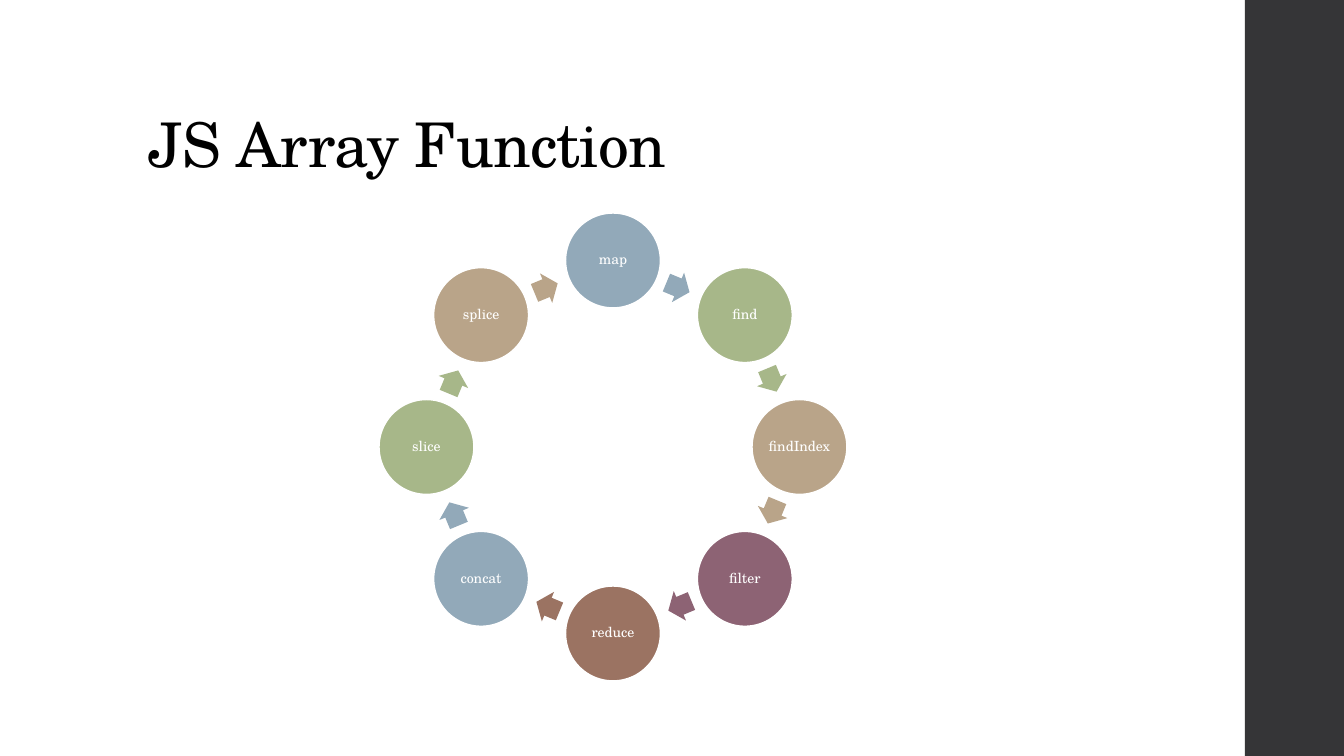
import math
from pptx import Presentation
from pptx.dml.color import RGBColor
from pptx.enum.shapes import MSO_SHAPE
from pptx.enum.text import MSO_ANCHOR, PP_ALIGN
from pptx.util import Pt

RECT, OVAL, ARROW = MSO_SHAPE.RECTANGLE, MSO_SHAPE.OVAL, MSO_SHAPE.RIGHT_ARROW
MIDDLE, BOTTOM, CENTER = MSO_ANCHOR.MIDDLE, MSO_ANCHOR.BOTTOM, PP_ALIGN.CENTER
SCALE = 914400 / 100.8
FONT = "TeX Gyre Schola"
BLACK = RGBColor(0x00, 0x00, 0x00)
WHITE = RGBColor(0xFF, 0xFF, 0xFF)
CHARCOAL = RGBColor(0x35, 0x35, 0x37)
BLUE = RGBColor(0x92, 0xA9, 0xB9)
GREEN = RGBColor(0xA7, 0xB7, 0x89)
TAN = RGBColor(0xB9, 0xA4, 0x89)
PLUM = RGBColor(0x8D, 0x63, 0x74)
BROWN = RGBColor(0x9B, 0x73, 0x62)
FUNCTIONS = [("map", BLUE), ("find", GREEN), ("findIndex", TAN), ("filter", PLUM),
             ("reduce", BROWN), ("concat", BLUE), ("slice", GREEN), ("splice", TAN)]


def px(n):
    return round(n * SCALE)


def add_shape(s, kind, x, y, w, h, color):
    sp = s.shapes.add_shape(kind, px(x), px(y), px(w), px(h))
    sp.shadow.inherit = False
    sp.fill.solid()
    sp.fill.fore_color.rgb = color
    sp.line.fill.background()
    return sp


def write(tf, text, size, color, anchor):
    tf.text = text
    tf.vertical_anchor = anchor
    p = tf.paragraphs[0]
    p.line_spacing = 0.9
    r = p.runs[0]
    r.font.name, r.font.size, r.font.color.rgb = FONT, Pt(size), color
    return p


def add_side_band(s, x, y, w, h):
    add_shape(s, RECT, x, y, w, h, CHARCOAL)


def add_title(s, x, y, w, h):
    tf = s.shapes.add_textbox(px(x), px(y), px(w), px(h)).text_frame
    tf.word_wrap = True
    p = write(tf, "JS Array Function", 44, BLACK, BOTTOM)
    p.runs[0].font._element.set("spc", "-50")


def add_circle(s, cx, cy, size, name, color):
    sp = add_shape(s, OVAL, cx - size / 2, cy - size / 2, size, size, color)
    sp.line.color.rgb = WHITE
    sp.line.width = Pt(1.1)
    tf = sp.text_frame
    tf.margin_left = tf.margin_right = tf.margin_top = tf.margin_bottom = px(1)
    tf.word_wrap = True
    write(tf, name, 10, WHITE, MIDDLE).alignment = CENTER


def add_arrow(s, cx, cy, w, h, angle, color):
    sp = add_shape(s, ARROW, cx - w / 2, cy - h / 2, w, h, color)
    sp.adjustments[0], sp.adjustments[1] = 0.6, 0.5
    sp.rotation = angle


def add_cycle(s, x, y, size, circle):
    cx, cy = x + size / 2, y + size / 2
    radius = (size - circle) / 2
    step = 360 / len(FUNCTIONS)
    mid_radius = radius * math.cos(math.radians(step / 2))
    for i, (name, color) in enumerate(FUNCTIONS):
        a = math.radians(i * step)
        add_circle(s, cx + radius * math.sin(a), cy - radius * math.cos(a),
                   circle, name, color)
        turn = (i + 0.5) * step
        a = math.radians(turn)
        add_arrow(s, cx + mid_radius * math.sin(a) - math.cos(a),
                  cy - mid_radius * math.cos(a) - math.sin(a), 25, 32, turn, color)


prs = Presentation()
prs.slide_width, prs.slide_height = px(1344), px(756)
s = prs.slides.add_slide(prs.slide_layouts[6])
add_side_band(s, 1245, 0, 99, 756)
add_title(s, 139, 40, 1068, 146)
add_cycle(s, 379, 213, 468, 95)
prs.save("out.pptx")
